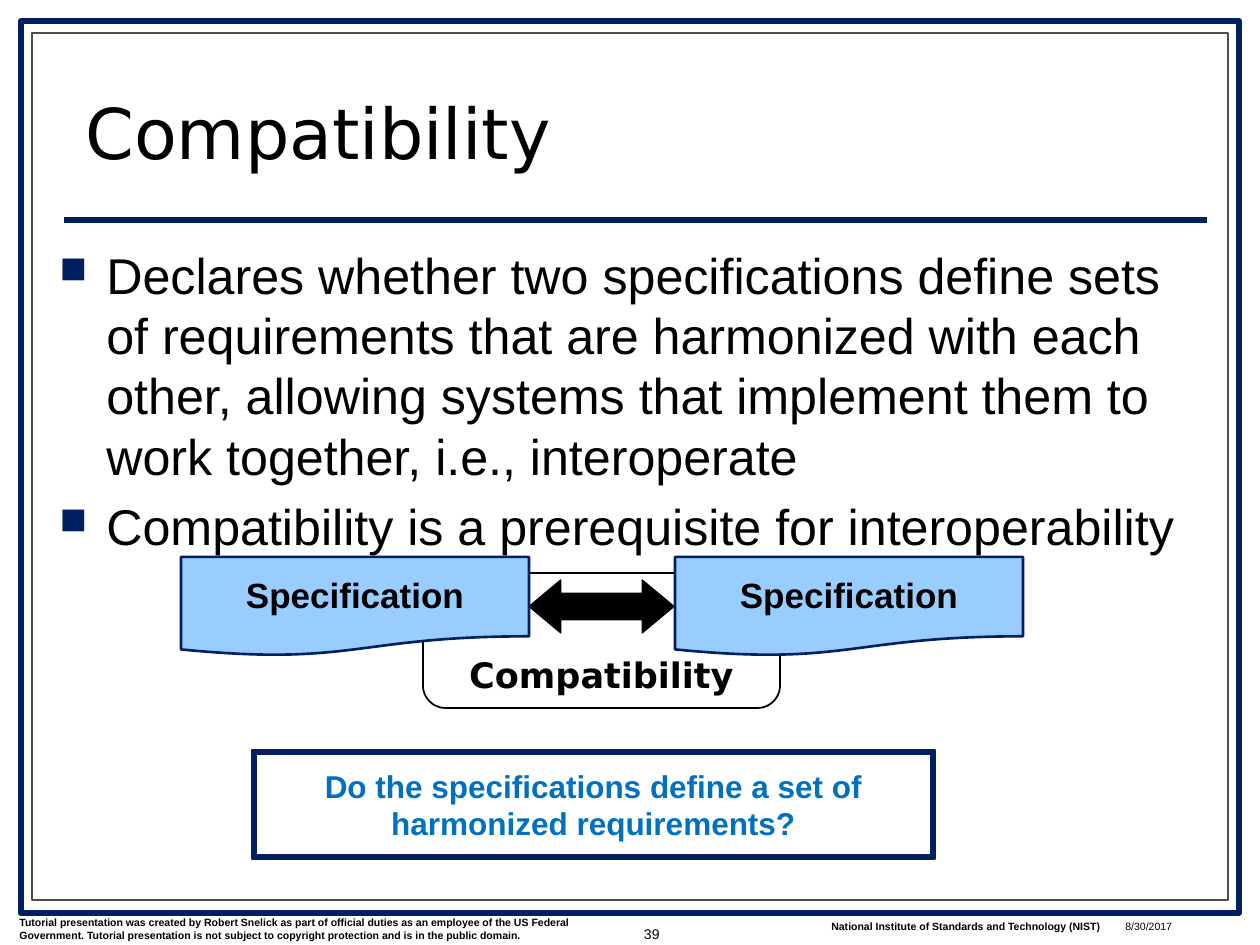
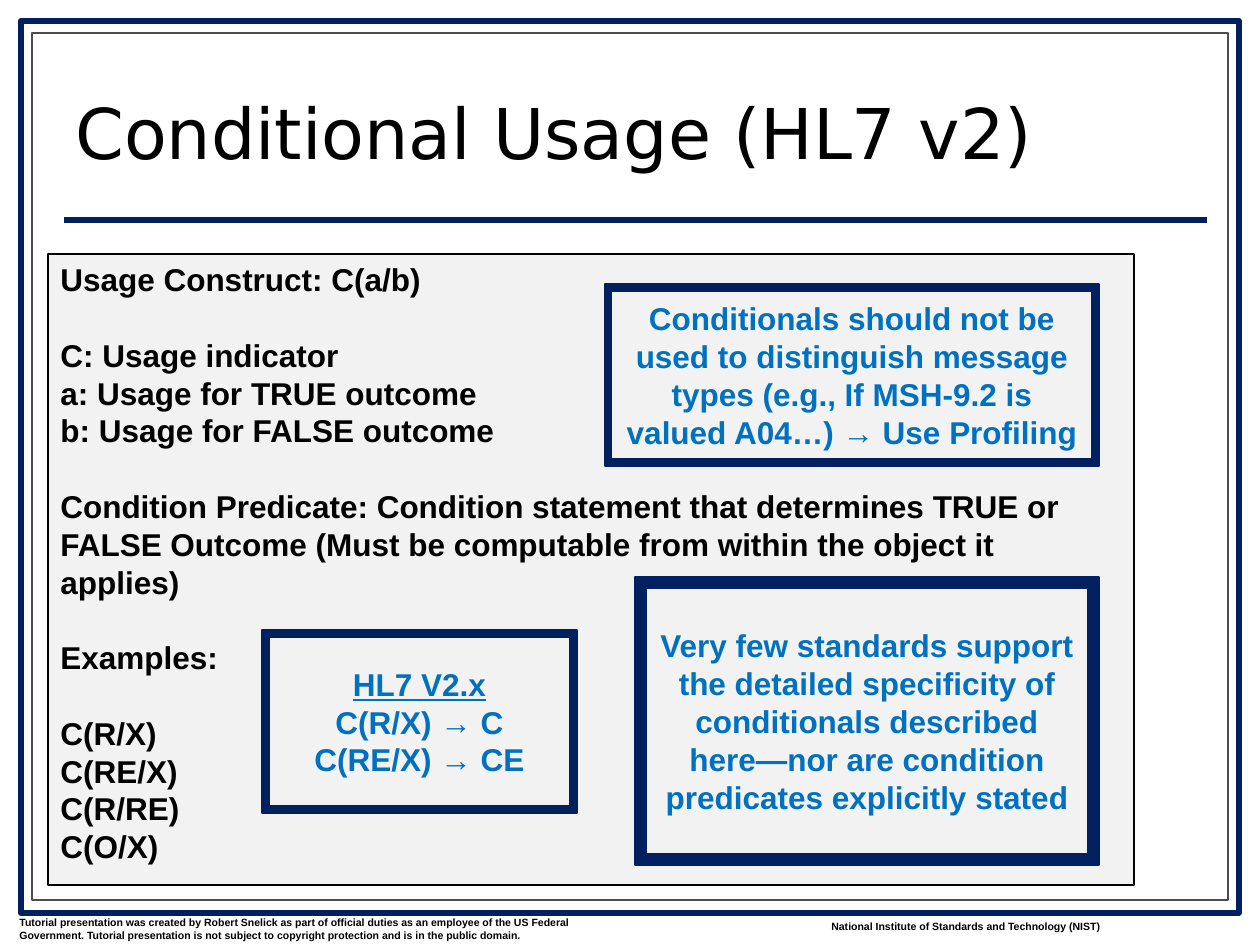
from lxml.etree import SubElement
from pptx import Presentation
from pptx.dml.color import RGBColor
from pptx.enum.shapes import MSO_CONNECTOR as Connector, MSO_SHAPE as Shape
from pptx.enum.text import MSO_ANCHOR as Anchor, PP_ALIGN as Align
from pptx.oxml.ns import qn
from pptx.util import Emu, Pt

SCALE = 914400 / 126
NAVY, BLUE, SKY = "002060", "0070C0", "99CCFF"
BLACK, WHITE, GREY, PALE = "000000", "FFFFFF", "4D4D4D", "F2F2F2"
BODY_FONT, TITLE_FONT = "Arial", "DejaVu Sans"
BODY_SIZE = 28.7
GROUP_GAP = 21.6

NOTICE = (
    "Tutorial presentation was created by Robert Snelick as part of official "
    "duties as an employee of the US Federal Government. Tutorial presentation "
    "is not subject to copyright protection and is in the public domain."
)
AGENCY = "National Institute of Standards and Technology (NIST)"

COMPATIBILITY_POINTS = [
    "Declares whether two specifications define sets of requirements that are "
    "harmonized with each other, allowing systems that implement them to work "
    "together, i.e., interoperate",
    "Compatibility is a prerequisite for interoperability",
]

USAGE_GROUPS = [
    ["Usage Construct: C(a/b)"],
    ["C: Usage indicator", "a: Usage for TRUE outcome", "b: Usage for FALSE outcome"],
    ["Condition Predicate: Condition statement that determines TRUE or FALSE "
     "Outcome (Must be computable from within the object it applies)"],
    ["Examples:"],
    ["C(R/X)", "C(RE/X)", "C(R/RE)", "C(O/X)"],
]


def px(length):
    """Turn pixels into EMU."""
    return Emu(round(length * SCALE))


def rgb(value):
    """Turn a hex string into a colour."""
    return RGBColor.from_string(value)


def write(shape, lines, size, color=BLACK, bold=False, font=BODY_FONT,
          align=Align.LEFT, anchor=Anchor.TOP, spacing=None):
    """Fill a shape with paragraphs of one style and return them."""
    frame = shape.text_frame
    frame.word_wrap = True
    frame.vertical_anchor = anchor
    frame.text = "\n".join(lines)
    for para in frame.paragraphs:
        para.alignment = align
        para.line_spacing = spacing
        for span in para.runs:
            span.font.size = Pt(size)
            span.font.name = font
            span.font.bold = bold
            span.font.color.rgb = rgb(color)
    return frame.paragraphs


def add_text(slide, area, lines, size, **style):
    """Add a text box and return its paragraphs."""
    box = slide.shapes.add_textbox(*map(px, area))
    return write(box, lines, size, **style)


def add_figure(slide, kind, area, fill, line, width, adjustments=()):
    """Add a flat preset shape with a fill and an outline."""
    figure = slide.shapes.add_shape(kind, *map(px, area))
    figure.shadow.inherit = False
    figure.fill.solid()
    figure.fill.fore_color.rgb = rgb(fill)
    figure.line.color.rgb = rgb(line)
    figure.line.width = Pt(width)
    for index, value in enumerate(adjustments):
        figure.adjustments[index] = value
    return figure


def add_rule(slide, left, right, top):
    """Add the navy line under the title."""
    rule = slide.shapes.add_connector(
        Connector.STRAIGHT, px(left), px(top), px(right), px(top))
    rule.line.color.rgb = rgb(NAVY)
    rule.line.width = Pt(3)
    SubElement(rule._element.spPr, qn("a:effectLst"))


def add_base(deck):
    """Add a slide with the shared borders, rule and footers."""
    slide = deck.slides.add_slide(deck.slide_layouts[6])
    add_figure(slide, Shape.RECTANGLE, (21, 21, 1218, 892), WHITE, NAVY, 3.5)
    add_figure(slide, Shape.RECTANGLE, (32, 33, 1196, 867), WHITE, GREY, 0.75)
    add_rule(slide, 64, 1207, 220)
    add_text(slide, (7, 910, 609, 38), [NOTICE], 6, bold=True)
    add_text(slide, (819, 914, 300, 25), [AGENCY], 6, bold=True)
    return slide


def add_title(slide, left, width, title):
    """Add the slide title."""
    add_text(slide, (left, 65, width, 114), [title], 40, font=TITLE_FONT,
             anchor=Anchor.BOTTOM, spacing=0.8)


def add_bullets(slide, area, points):
    """Add a list with navy square bullets."""
    paragraphs = add_text(slide, area, points, BODY_SIZE)
    for index, para in enumerate(paragraphs):
        if index:
            para.space_before = Pt(BODY_SIZE * 0.2)
        properties = para._p.get_or_add_pPr()
        properties.set("marL", str(px(47)))
        properties.set("indent", str(-px(47)))
        color = SubElement(properties, qn("a:buClr"))
        SubElement(color, qn("a:srgbClr"), val=NAVY)
        SubElement(properties, qn("a:buSzPct"), val="75000")
        SubElement(properties, qn("a:buChar"), char="■")


def add_callout(slide, area, lines):
    """Add a navy frame with centred blue text and return its paragraphs."""
    frame = add_figure(slide, Shape.FRAME, area, NAVY, NAVY, 0.75, [0.038])
    return write(frame, lines, 18, color=BLUE, bold=True,
                 align=Align.CENTER, anchor=Anchor.MIDDLE)


def add_grouped_panel(slide, area, groups):
    """Add a pale panel whose groups of lines are set apart by a gap."""
    panel = add_figure(slide, Shape.RECTANGLE, area, PALE, BLACK, 0.75)
    lines = [line for group in groups for line in group]
    paragraphs = write(panel, lines, 18, bold=True)
    start = 0
    for group in groups[:-1]:
        start += len(group)
        paragraphs[start].space_before = Pt(GROUP_GAP)


def add_specification(slide, left):
    """Add a document symbol for one specification."""
    document = add_figure(slide, Shape.FLOWCHART_DOCUMENT,
                          (left, 557, 348, 99), SKY, NAVY, 1.5)
    write(document, ["Specification"], 20, bold=True, align=Align.CENTER,
          anchor=Anchor.MIDDLE, spacing=0.93)


def build_compatibility(deck):
    """Build the slide on compatible specifications."""
    slide = add_base(deck)
    label = add_figure(slide, Shape.ROUNDED_RECTANGLE, (423, 573, 357, 135),
                       WHITE, BLACK, 1)
    write(label, ["Compatibility"], 20, bold=True, font=TITLE_FONT,
          align=Align.CENTER, anchor=Anchor.BOTTOM)
    add_title(slide, 73, 1124, "Compatibility")
    add_bullets(slide, (47, 238, 1155, 277), COMPATIBILITY_POINTS)
    add_text(slide, (1113, 914, 116, 21), ["8/30/2017"], 6)
    add_text(slide, (599, 901, 73, 65), ["39"], 8,
             align=Align.RIGHT, anchor=Anchor.MIDDLE)
    add_callout(slide, (252, 750, 683, 109),
                ["Do the specifications define a set of harmonized requirements?"])
    add_figure(slide, Shape.LEFT_RIGHT_ARROW, (529, 580, 145, 53),
               BLACK, BLACK, 0.75, [0.5, 0.6])
    for left in (181, 675):
        add_specification(slide, left)


def build_conditional_usage(deck):
    """Build the slide on conditional usage."""
    slide = add_base(deck)
    add_grouped_panel(slide, (48, 254, 1086, 631), USAGE_GROUPS)
    add_title(slide, 63, 1144, "Conditional Usage (HL7 v2)")
    add_callout(slide, (605, 284, 494, 182), [
        "Conditionals should not be used to distinguish message types "
        "(e.g., If MSH-9.2 is valued A04…) → Use Profiling"])
    heading, *_ = add_callout(slide, (262, 630, 315, 183),
                              ["HL7 V2.x", "C(R/X) → C", "C(RE/X) → CE"])
    heading.runs[0].font.underline = True
    add_callout(slide, (635, 577, 464, 288), [
        "Very few standards support the detailed specificity of conditionals "
        "described here—nor are condition predicates explicitly stated"])


def main():
    """Build and save the deck."""
    deck = Presentation()
    deck.slide_width, deck.slide_height = px(1260), px(945)
    build_compatibility(deck)
    build_conditional_usage(deck)
    deck.save("out.pptx")


if __name__ == "__main__":
    main()
